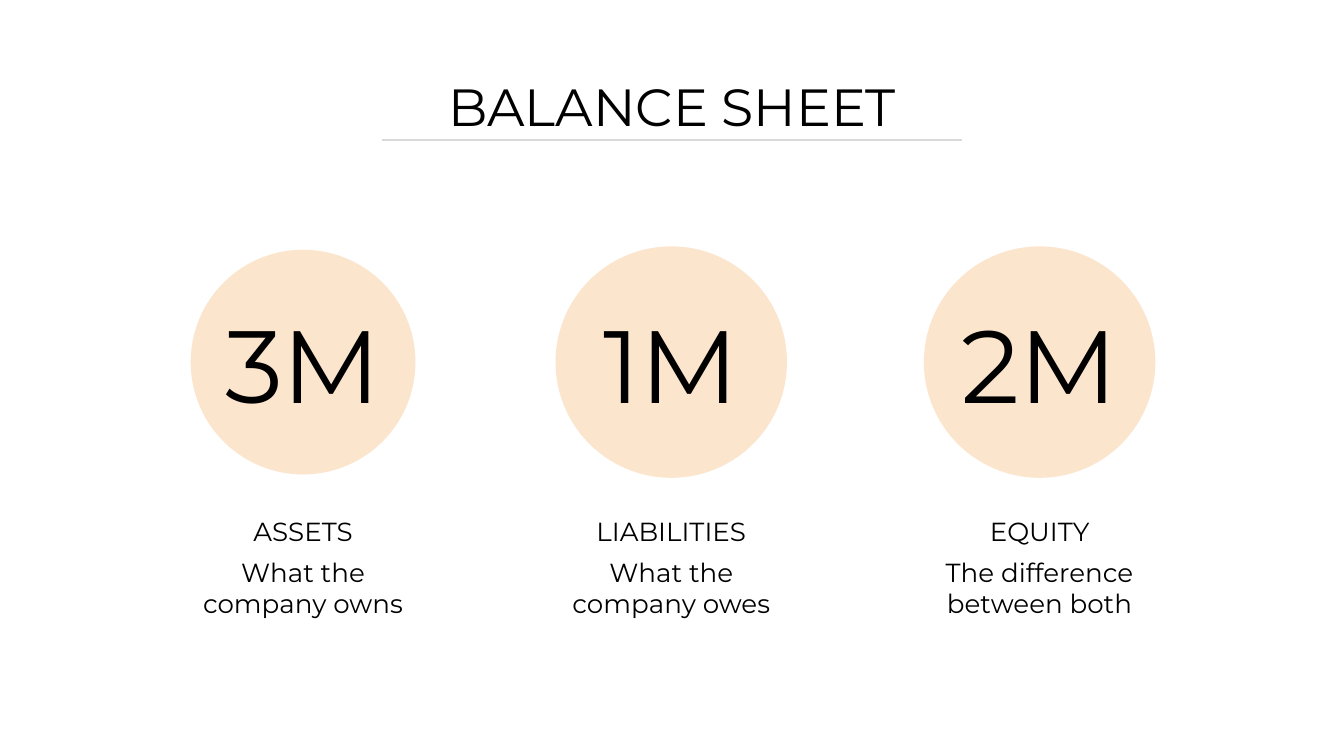
from dataclasses import dataclass

from lxml import etree
from pptx import Presentation
from pptx.dml.color import RGBColor
from pptx.enum.shapes import MSO_CONNECTOR, MSO_SHAPE
from pptx.enum.text import MSO_ANCHOR, PP_ALIGN
from pptx.oxml.ns import qn
from pptx.util import Pt

TOP, MIDDLE, BOTTOM = MSO_ANCHOR.TOP, MSO_ANCHOR.MIDDLE, MSO_ANCHOR.BOTTOM
CENTER = PP_ALIGN.CENTER
OVAL = MSO_SHAPE.OVAL
STRAIGHT = MSO_CONNECTOR.STRAIGHT


@dataclass(frozen=True)
class Theme:
    """Colours, font and type sizes of the slide."""
    font: str = "Montserrat"
    ink: RGBColor = RGBColor(0x00, 0x00, 0x00)
    rule: RGBColor = RGBColor(0xD9, 0xD9, 0xD9)
    disc: RGBColor = RGBColor(0xFC, 0xE5, 0xCD)
    title: float = 28
    figure: float = 55
    body: float = 14


THEME = Theme()
SLIDE_W, SLIDE_H = 720, 405
COLUMN_W, COLUMN_PITCH = 143.3, 197.3
COLUMN_LEFT, COLUMN_TOP, COLUMN_H = 90.7, 132, 213.6
ITEMS = [
    ("3M", "ASSETS", ["What the company owns"], 120.4),
    ("1M", "LIABILITIES", ["What the", "company owes"], 124),
    ("2M", "EQUITY", ["The difference", "between both"], 124),
]


def add_text(s, box, lines, size, anchor):
    """Add a centred text box with one paragraph for each line."""
    tf = s.shapes.add_textbox(*map(Pt, box)).text_frame
    frame = {"word_wrap": True, "vertical_anchor": anchor}
    frame.update({f"margin_{side}": Pt(7.2) for side in ("left", "top", "right", "bottom")})
    for name, value in frame.items():
        setattr(tf, name, value)
    for i, line in enumerate(lines):
        p = tf.add_paragraph() if i else tf.paragraphs[0]
        p.alignment = CENTER
        r = p.add_run()
        r.text = line
        for name, value in {"name": THEME.font, "size": Pt(size)}.items():
            setattr(r.font, name, value)
        r.font.color.rgb = THEME.ink


def add_header(s, box):
    """Add the title with a thin centred rule near its foot."""
    x, y, w, h = box
    rule_w, rule_y = 311, y + h - 5.7
    rule_x = x + (w - rule_w) / 2
    rule = s.shapes.add_connector(STRAIGHT, Pt(rule_x), Pt(rule_y), Pt(rule_x + rule_w), Pt(rule_y))
    rule.line.color.rgb = THEME.rule
    rule.line.width = Pt(0.75)
    etree.SubElement(rule._element.spPr, qn("a:effectLst"))
    add_text(s, box, ["BALANCE SHEET"], THEME.title, BOTTOM)


def add_column(s, box, figure, label, lines, diameter):
    """Add a figure on a disc, with its label and description below."""
    x, y, w, h = box
    disc_y = y + 62
    disc = s.shapes.add_shape(OVAL, Pt(x + (w - diameter) / 2), Pt(disc_y - diameter / 2),
                              Pt(diameter), Pt(diameter))
    disc.shadow.inherit = False
    disc.fill.solid()
    disc.fill.fore_color.rgb = THEME.disc
    disc.line.fill.background()
    figure_h, label_h, text_h = 37.4, 37.4, 54.7
    text_y = y + h - text_h
    add_text(s, (x, disc_y - figure_h / 2 + 0.4, w, figure_h), [figure], THEME.figure, MIDDLE)
    add_text(s, (x, text_y + 9.3 - label_h, w, label_h), [label], THEME.body, BOTTOM)
    add_text(s, (x, text_y, w, text_h), lines, THEME.body, TOP)


def main():
    """Build the balance sheet slide and save it."""
    prs = Presentation()
    prs.slide_width, prs.slide_height = Pt(SLIDE_W), Pt(SLIDE_H)
    s = prs.slides.add_slide(prs.slide_layouts[6])
    add_header(s, (42.5, 35.3, 635, 45.4))
    for i, item in enumerate(ITEMS):
        add_column(s, (COLUMN_LEFT + i * COLUMN_PITCH, COLUMN_TOP, COLUMN_W, COLUMN_H), *item)
    prs.save("out.pptx")


if __name__ == "__main__":
    main()
